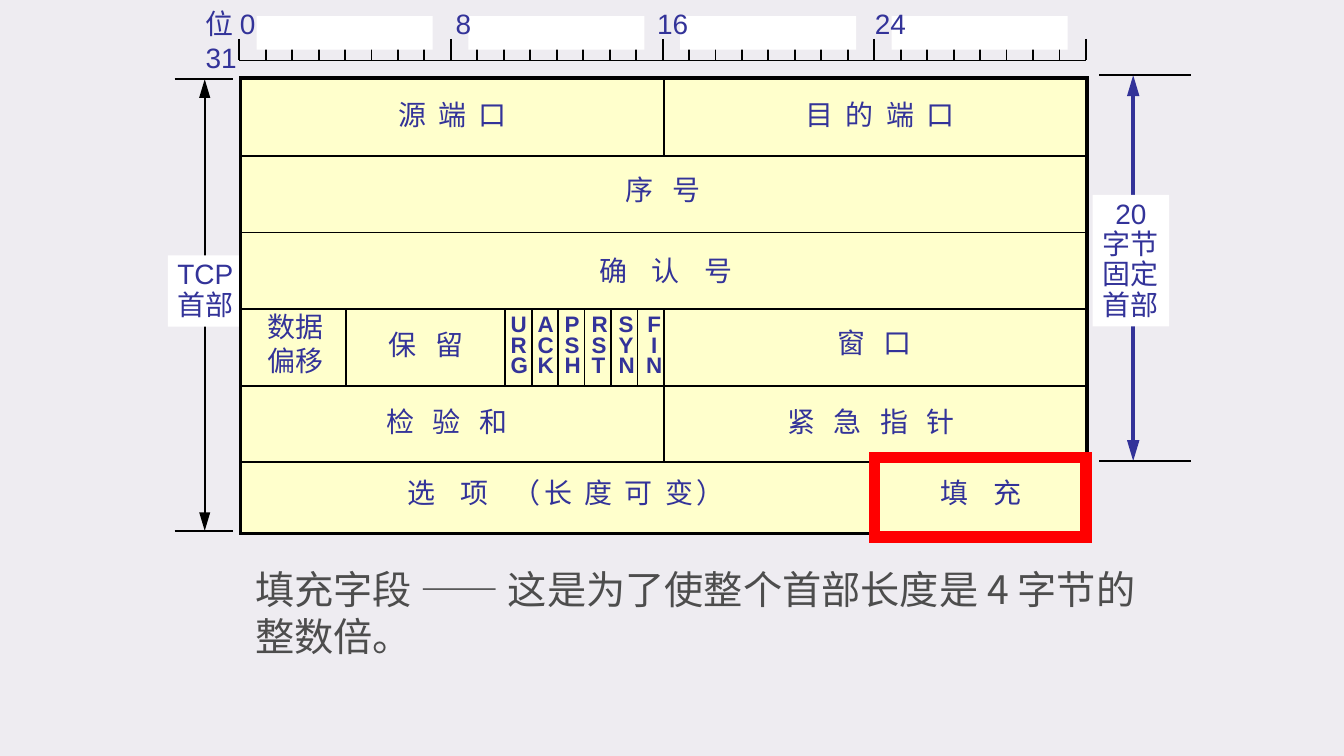
from collections import namedtuple
from dataclasses import dataclass

from lxml.etree import SubElement as Sub
from pptx import Presentation
from pptx.dml.color import RGBColor as Rgb
from pptx.enum.shapes import MSO_CONNECTOR as Conn, MSO_SHAPE as Shape
from pptx.enum.text import MSO_ANCHOR as Anchor, MSO_AUTO_SIZE as Auto, PP_ALIGN as Align
from pptx.oxml.ns import qn
from pptx.util import Inches as In, Pt

Box = namedtuple("Box", "x y w h")


@dataclass(frozen=True)
class Theme:
    back: str = "EEECF1"
    ink: str = "333399"
    line: str = "000000"
    cell: str = "FFFFCC"
    white: str = "FFFFFF"
    mark: str = "FF0000"
    gray: str = "4D4D4D"
    face: str = "Arial"
    han: str = "Noto Sans CJK SC"
    body: int = 15
    flag: int = 12
    note: int = 21


T = Theme()
BITS = 32
SPACE = 0.22  # width of a space in ems
INSET = dict(margin_left=In(0.07), margin_right=In(0.07),
             margin_top=In(0.04), margin_bottom=In(0.04))


def setall(obj, fmt):
    for key, val in fmt.items():
        setattr(obj, key, val)


def rule(slide, x1, y1, x2, y2, color=T.line, width=1, heads=False):
    """Straight line, with arrowheads at both ends if wanted."""
    line = slide.shapes.add_connector(Conn.STRAIGHT, In(x1), In(y1), In(x2), In(y2))
    line.line.color.rgb = Rgb.from_string(color)
    line.line.width = Pt(width)
    if heads:
        ln = line.line._get_or_add_ln()
        for end in ("headEnd", "tailEnd"):
            Sub(ln, qn("a:" + end), type="triangle", w="med", len="lg")
    Sub(line._element.spPr, qn("a:effectLst"))
    return line


def rect(slide, box, fill=None, edge=None, width=1):
    shape = slide.shapes.add_shape(Shape.RECTANGLE, *map(In, box))
    shape.shadow.inherit = False
    if fill:
        shape.fill.solid()
        shape.fill.fore_color.rgb = Rgb.from_string(fill)
    else:
        shape.fill.background()
    if edge:
        shape.line.color.rgb = Rgb.from_string(edge)
        shape.line.width = Pt(width)
        Sub(shape.line._get_or_add_ln(), qn("a:miter"), lim="800000")
    else:
        shape.line.fill.background()
    return shape


def write(shape, paras, wrap=False, inset=INSET, color=T.ink, face=T.face,
          size=T.body, bold=False, align=Align.LEFT, lead=None):
    """Fill a shape; each paragraph is a list of (text, gap in spaces) runs."""
    frame = shape.text_frame
    setall(frame, dict(inset, word_wrap=wrap, auto_size=Auto.SHAPE_TO_FIT_TEXT,
                       vertical_anchor=Anchor.TOP))
    for num, runs in enumerate(paras):
        para = frame.add_paragraph() if num else frame.paragraphs[0]
        setall(para, dict(alignment=align, line_spacing=lead))
        for text, gap in runs:
            run = para.add_run()
            run.text = text
            setall(run.font, dict(name=face, size=Pt(size), bold=bold))
            run.font.color.rgb = Rgb.from_string(color)
            props = run.font._element
            Sub(props, qn("a:ea"), typeface=T.han)
            if gap > 1:  # letter spacing widens each single space
                props.set("spc", str(round((gap - 1) * SPACE * size * 50)))
    return frame


def label(slide, box, paras, **fmt):
    return write(slide.shapes.add_textbox(*map(In, box)), paras, **fmt)


def plain(words):
    return [[(word, 1)] for word in words]


def span(slide, box, mid, tag, words, color, width, align):
    """Height bracket: end lines, double arrow and a white tag."""
    x = box.x + mid * box.w
    rule(slide, x, box.y, x, box.y + box.h, color, width, heads=True)
    for y in (box.y, box.y + box.h):
        rule(slide, box.x, y, box.x + box.w, y)
    high = 0.08 + 0.225 * len(words)
    plate = rect(slide, Box(box.x - 0.05, box.y + tag * box.h, 0.57, high), T.white)
    write(plate, plain(words), align=align, lead=0.9)


def header(slide, box):
    """Field grid: 32 bits across, six rows down."""
    bit, row = box.w / BITS, 0.57
    top = box.y + 0.01

    def at(col, line):
        return box.x + col * bit, top + line * row

    frame = rect(slide, box, T.cell, T.line, 2)
    for num in range(1, 6):
        rule(slide, *at(0, num), *at(BITS, num))

    # Column borders: bit, first row, last row
    rule(slide, *at(16, 0), *at(16, 1)).begin_connect(frame, 0)
    borders = [(4, 3, 4), *((col, 3, 4) for col in range(10, 16)),
               (16, 3, 5), (24, 5, 5.93)]
    for col, first, last in borders:
        rule(slide, *at(col, first), *at(col, last))

    # Field names: bit, row, width in bits, wrap, paragraphs
    fields = [
        (5.6, 0.17, 5.1, False, [[("源 端 口", 2)]]),
        (21, 0.17, 6.8, False, [[("目 的 端 口", 2)]]),
        (14.2, 1.15, 5.7, True, [[("序 号", 3)]]),
        (13.2, 2.2, 7.7, True, [[("确 认 号", 4)]]),
        (0.65, 2.94, 2.9, False, plain(["数据", "偏移"])),
        (5.25, 3.17, 3.8, False, [[("保 留", 3)]]),
        (22.2, 3.15, 3.8, False, [[("窗 口", 3)]]),
        (5.15, 4.18, 5.7, False, [[("检 验 和", 3)]]),
        (20.3, 4.18, 7.7, False, [[("紧 急 指 针", 3)]]),
        (5.95, 5.1, 13.3, True, [[("选 项 ", 4), ("（长 度 可 变）", 2)]]),
        (26.1, 5.1, 5.2, True, [[("填 充", 4)]]),
    ]
    for col, line, wide, wrap, paras in fields:
        high = 0.08 + 0.25 * len(paras)
        label(slide, Box(*at(col, line), wide * bit, high), paras, wrap=wrap)

    # Flags, one letter a line
    for num, flag in enumerate(("URG", "ACK", "PSH", "RST", "SYN", "FIN")):
        x, y = at(9.85 + 1.02 * num, 3.03)
        label(slide, Box(x, y, 0.27, 0.53), plain(flag), size=T.flag, bold=True,
              lead=0.75, align=Align.CENTER if flag == "FIN" else Align.LEFT)

    # Frame around the padding field
    x, y = at(24, 4.94)
    rect(slide, Box(x - 0.01, y, 8 * bit, 0.59), edge=T.mark, width=6)


def ruler(slide, box):
    """Bit scale with a longer tick at each byte."""
    bit, base = box.w / BITS, box.y + box.h
    rule(slide, box.x, base, box.x + box.w, base)
    for num in range(BITS + 1):
        x = box.x + num * bit
        rule(slide, x, base - (0.24 if num % 8 else 0.16), x, base)
    for num in range(4):
        x = box.x + 8 * num * bit + 0.13
        rect(slide, Box(x, box.y, 1.31, 0.25), T.white)

    # Bit numbers on tab stops; the right inset sends the last one to a new line
    place = Box(box.x - 0.32, box.y - 0.11, 6.74, 0.33)
    frame = label(slide, place, plain(["位 0\t8\t16\t24 31"]), wrap=True,
                  inset=dict(INSET, margin_right=In(1.3)))
    tabs = Sub(frame.paragraphs[0]._p.get_or_add_pPr(), qn("a:tabLst"))
    for stop in (1.86, 3.36, 4.98):
        Sub(tabs, qn("a:tab"), pos=str(In(stop)), algn="l")


def note(slide, box):
    """Sentence below the diagram."""
    label(slide, box, plain(["填充字段 —— 这是为了使整个首部长度是 4 字节的整数倍。"]),
          wrap=True, inset={}, color=T.gray, face=T.han, size=T.note)


def main():
    deck = Presentation()
    setall(deck, dict(slide_width=In(10), slide_height=In(10) * 9 // 16))
    slide = deck.slides.add_slide(deck.slide_layouts[6])
    slide.background.fill.solid()
    slide.background.fill.fore_color.rgb = Rgb.from_string(T.back)

    span(slide, Box(1.3, 0.59, 0.43, 3.36), 0.52, 0.39,
         ["TCP", "首部"], T.line, 1, Align.LEFT)
    span(slide, Box(8.18, 0.56, 0.68, 2.87), 0.37, 0.31,
         ["20", "字节", "固定", "首部"], T.ink, 2.25, Align.CENTER)
    header(slide, Box(1.79, 0.58, 6.3, 3.39))
    ruler(slide, Box(1.78, 0.12, 6.3, 0.33))
    note(slide, Box(1.8, 4.16, 6.81, 0.81))
    deck.save("out.pptx")


if __name__ == "__main__":
    main()
